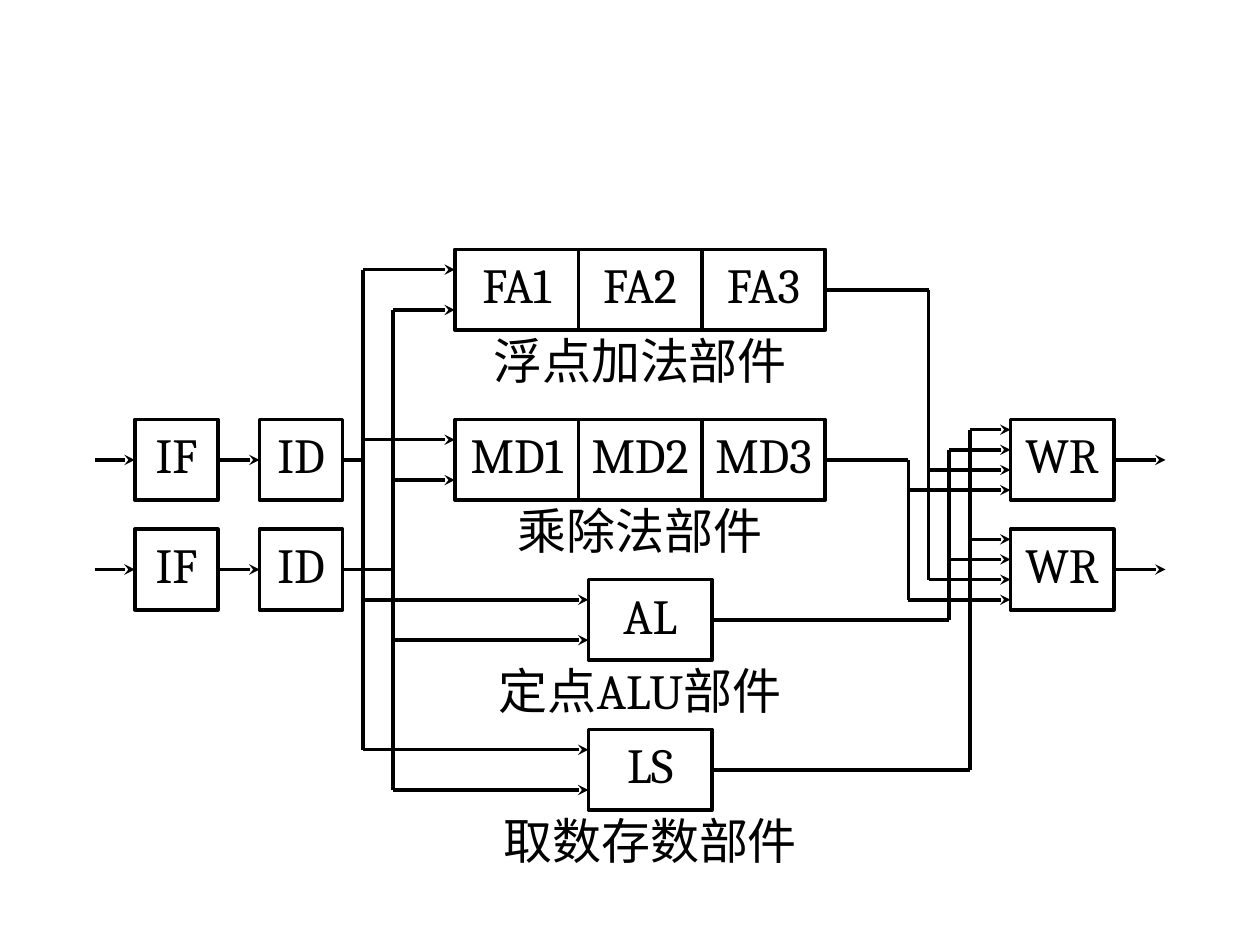
from lxml.etree import SubElement
from pptx import Presentation
from pptx.dml.color import RGBColor
from pptx.enum.shapes import MSO_CONNECTOR, MSO_SHAPE
from pptx.enum.text import MSO_ANCHOR, PP_ALIGN
from pptx.oxml.ns import qn
from pptx.util import Inches, Pt

BLACK = "000000"

# Grid of the pipeline diagram, in inches
BOX_HEIGHT = 0.64
FETCH_LEFT, DECODE_LEFT, FRONT_WIDTH = 1.07, 2.06, 0.66
LONG_LEFT, SHORT_LEFT, STAGE_WIDTH = 3.61, 4.67, 0.98
WRITE_LEFT, WRITE_WIDTH = 8.02, 0.82
INPUT_LEFT, OUTPUT_RIGHT = 0.75, 9.25
CAPTION_WIDTH, CAPTION_HEIGHT = 3 * STAGE_WIDTH, 0.56
PIPE_ROWS = (3.65, 4.52)
PORT = 0.16

# Stage names, left edge, row centre, lane to write-back, caption, caption left
UNITS = (
    (("FA1", "FA2", "FA3"), LONG_LEFT, 2.30, 7.37, "浮点加法部件", 3.61),
    (("MD1", "MD2", "MD3"), LONG_LEFT, 3.65, 7.21, "乘除法部件", 3.61),
    (("AL",), SHORT_LEFT, 4.92, 7.53, "定点ALU部件", 3.61),
    (("LS",), SHORT_LEFT, 6.11, 7.70, "取数存数部件", 3.69),
)

presentation = Presentation()
presentation.slide_width = Inches(10)
presentation.slide_height = Inches(7.5)
slide = presentation.slides.add_slide(presentation.slide_layouts[6])


def add_label(text, left, middle, width, height=BOX_HEIGHT, outlined=True):
    """Add centred text around a row's middle, with or without a box."""
    place = [Inches(length) for length in (left, middle - height / 2, width, height)]
    if outlined:
        shape = slide.shapes.add_shape(MSO_SHAPE.RECTANGLE, *place)
        shape.shadow.inherit = False
        shape.fill.background()
        shape.line.color.rgb = RGBColor.from_string(BLACK)
        shape.line.width = Pt(2)
    else:
        shape = slide.shapes.add_textbox(*place)
    frame = shape.text_frame
    frame.word_wrap = False
    frame.vertical_anchor = MSO_ANCHOR.MIDDLE
    frame.margin_left = frame.margin_right = Inches(0.08)
    frame.margin_top = frame.margin_bottom = Inches(0.04)
    paragraph = frame.paragraphs[0]
    paragraph.alignment = PP_ALIGN.CENTER
    paragraph.line_spacing = 0.8
    run = paragraph.add_run()
    run.text = text
    run.font.name = "Cambria"
    run.font.size = Pt(28)
    run.font.color.rgb = RGBColor.from_string(BLACK)


def add_wire(start_x, start_y, end_x, end_y, arrow=False):
    wire = slide.shapes.add_connector(
        MSO_CONNECTOR.STRAIGHT,
        Inches(start_x), Inches(start_y), Inches(end_x), Inches(end_y),
    )
    wire.line.color.rgb = RGBColor.from_string(BLACK)
    wire.line.width = Pt(2)
    properties = wire.element.spPr
    if arrow:
        SubElement(properties.find(qn("a:ln")), qn("a:tailEnd"), type="stealth")
    SubElement(properties, qn("a:effectLst"))


# Two pipes: fetch, decode and write-back
fetch_right = FETCH_LEFT + FRONT_WIDTH
decode_right = DECODE_LEFT + FRONT_WIDTH
write_right = WRITE_LEFT + WRITE_WIDTH
for row in PIPE_ROWS:
    add_label("IF", FETCH_LEFT, row, FRONT_WIDTH)
    add_label("ID", DECODE_LEFT, row, FRONT_WIDTH)
    add_label("WR", WRITE_LEFT, row, WRITE_WIDTH)
    add_wire(INPUT_LEFT, row, FETCH_LEFT, row, arrow=True)
    add_wire(fetch_right, row, DECODE_LEFT, row, arrow=True)
    add_wire(write_right, row, OUTPUT_RIGHT, row, arrow=True)

# Functional units with their captions
for stages, left, row, lane, caption, caption_left in UNITS:
    for column, stage in enumerate(stages):
        add_label(stage, left + column * STAGE_WIDTH, row, STAGE_WIDTH)
    caption_middle = row + (BOX_HEIGHT + CAPTION_HEIGHT) / 2
    add_label(caption, caption_left, caption_middle, CAPTION_WIDTH,
              CAPTION_HEIGHT, outlined=False)
    add_wire(left + len(stages) * STAGE_WIDTH, row, lane, row)

# Issue buses: each decoder feeds every unit
for bus, pipe_row, offset in zip((2.88, 3.12), PIPE_ROWS, (-PORT, PORT)):
    add_wire(decode_right, pipe_row, bus, pipe_row)
    add_wire(bus, UNITS[0][2] + offset, bus, UNITS[-1][2] + offset)
    for stages, left, row, *rest in UNITS:
        add_wire(bus, row + offset, left, row + offset, arrow=True)

# Result lanes: every unit feeds both write-back stages, rightmost lane on top
lanes = sorted(((unit[3], unit[2]) for unit in UNITS), reverse=True)
for index, (lane, unit_row) in enumerate(lanes):
    ports = [row + (index - 1.5) * PORT for row in PIPE_ROWS]
    add_wire(lane, min(unit_row, *ports), lane, max(unit_row, *ports))
    for port in ports:
        add_wire(lane, port, WRITE_LEFT, port, arrow=True)

presentation.save("out.pptx")
